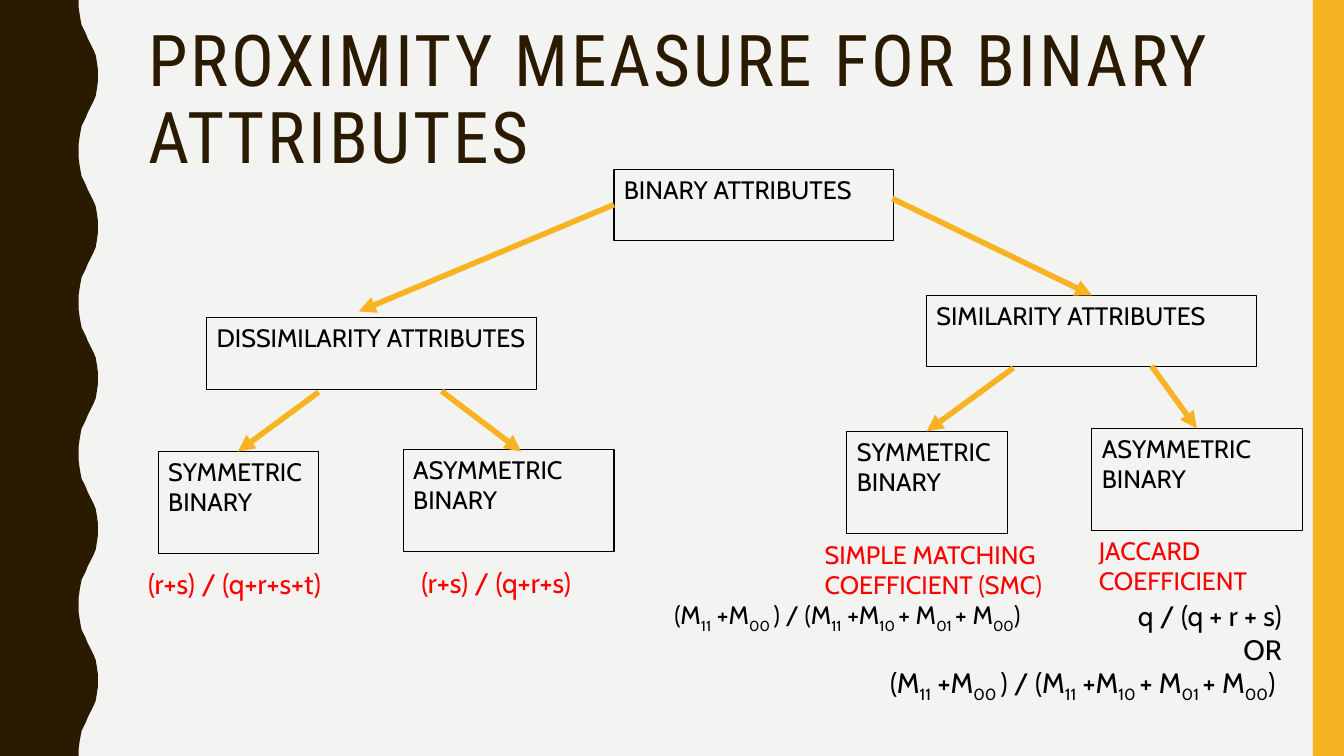
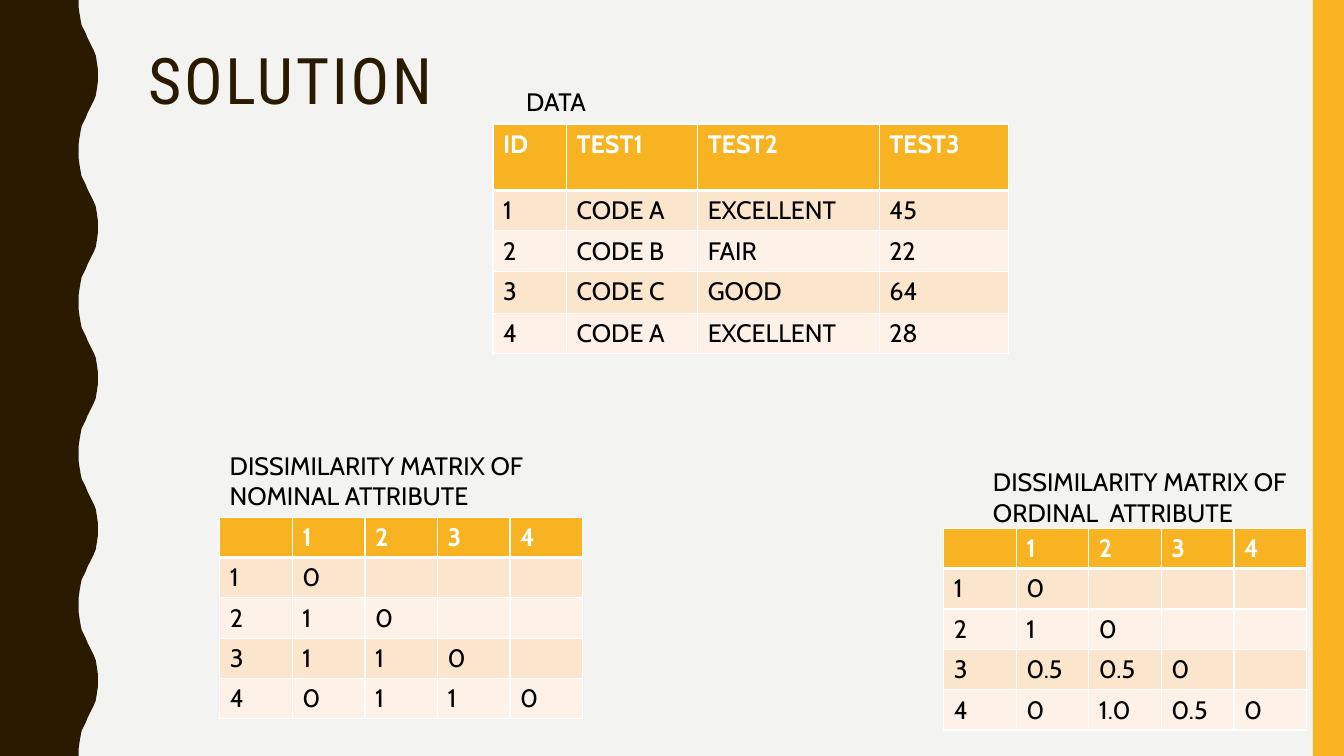
from lxml.etree import SubElement
from pptx import Presentation
from pptx.dml.color import RGBColor
from pptx.enum.shapes import MSO_CONNECTOR, MSO_SHAPE
from pptx.enum.text import MSO_ANCHOR, PP_ALIGN
from pptx.oxml.ns import qn
from pptx.util import Inches, Pt

HUES = {
    "paper": "F3F3F2",
    "brown": "2A1A00",
    "gold": "F8B323",
    "ink": "000000",
    "red": "FF0000",
    "white": "FFFFFF",
    "peach": "FCE5CD",
    "cream": "FEF2E8",
}


def hue(name):
    return RGBColor.from_string(HUES[name])


def write(frame, text, size=18, color="ink", font="Cabin", bold=False,
          align=PP_ALIGN.LEFT, anchor=MSO_ANCHOR.TOP, lead=None, track=None):
    frame.word_wrap = True
    frame.vertical_anchor = anchor
    for row, line in enumerate(text.split("\n")):
        para = frame.add_paragraph() if row else frame.paragraphs[0]
        para.alignment = align
        if lead:
            para.line_spacing = lead
        for part, piece in enumerate(line.split("_")):
            if not piece:
                continue
            run = para.add_run()
            run.text = piece
            run.font.size = Pt(size)
            run.font.name = font
            run.font.bold = bold
            run.font.color.rgb = hue(color)
            props = run.font._element
            if part % 2:
                props.set("baseline", "-25000")
            if track:
                props.set("spc", str(track * 100))


deck = Presentation()
deck.slide_width = Inches(13.33)
deck.slide_height = Inches(7.5)
back = deck.slide_master.background.fill
back.solid()
back.fore_color.rgb = hue("paper")

half = [(0.78, 0), (0.78, 0.07), (0.79, 0.14), (0.8, 0.2), (0.81, 0.25),
        (0.83, 0.29), (0.85, 0.33), (0.87, 0.38), (0.89, 0.42), (0.91, 0.46),
        (0.93, 0.5), (0.95, 0.55), (0.96, 0.61), (0.97, 0.68), (0.97, 0.75)]
bend = half + [(x, 1.5 - y) for x, y in half[-2:0:-1]]
edge = [(x, y + 1.5 * turn) for turn in range(5) for x, y in bend]
edge += [(0.78, 7.5), (0, 7.5)]

titles = [
    ("PROXIMITY MEASURE FOR BINARY ATTRIBUTES", 0.2, 1.63, 51),
    ("SOLUTION", 0.42, 0.82, 45.9),
]
slides = []
for text, top, high, size in titles:
    slide = deck.slides.add_slide(deck.slide_layouts[6])
    slides.append(slide)
    path = slide.shapes.build_freeform(0, 0)
    path.add_line_segments([(Inches(x), Inches(y)) for x, y in edge])
    wave = path.convert_to_shape()
    band = slide.shapes.add_shape(
        MSO_SHAPE.RECTANGLE, Inches(13.02), 0, Inches(0.31), Inches(7.5))
    for shape, color in [(wave, "brown"), (band, "gold")]:
        shape.shadow.inherit = False
        shape.fill.solid()
        shape.fill.fore_color.rgb = hue(color)
        shape.line.fill.background()
    title = slide.shapes.add_textbox(
        Inches(1.37), Inches(top), Inches(11.13), Inches(high))
    write(title.text_frame, text, size=size, color="brown",
          font="Roboto Condensed", anchor=MSO_ANCHOR.MIDDLE, lead=0.9, track=2)

tree, answer = slides

boxes = [
    ("BINARY ATTRIBUTES", 6.09, 1.68, 2.77, 0.71),
    ("DISSIMILARITY ATTRIBUTES", 2.05, 3.15, 3.27, 0.71),
    ("SIMILARITY ATTRIBUTES", 9.19, 2.93, 3.27, 0.71),
    ("SYMMETRIC BINARY", 1.57, 4.48, 1.59, 1.01),
    ("ASYMMETRIC BINARY", 4, 4.46, 2.09, 1.01),
    ("SYMMETRIC BINARY", 8.4, 4.28, 1.59, 1.01),
    ("ASYMMETRIC BINARY", 10.83, 4.25, 2.09, 1.01),
]
for text, *place in boxes:
    box = tree.shapes.add_shape(MSO_SHAPE.RECTANGLE, *map(Inches, place))
    box.shadow.inherit = False
    box.fill.background()
    box.line.color.rgb = hue("ink")
    box.line.width = Pt(0.75)
    write(box.text_frame, text)

arrows = [
    (6.09, 2.03, 3.56, 3.09),
    (8.85, 1.97, 10.83, 2.93),
    (3.16, 3.89, 2.36, 4.48),
    (4.38, 3.88, 5.17, 4.48),
    (11.42, 3.63, 11.87, 4.25),
    (10.05, 3.65, 9.19, 4.28),
]
for ends in arrows:
    arrow = tree.shapes.add_connector(MSO_CONNECTOR.STRAIGHT, *map(Inches, ends))
    arrow.line.color.rgb = hue("gold")
    arrow.line.width = Pt(4)
    props = arrow._element.spPr
    SubElement(props.find(qn("a:ln")), qn("a:tailEnd"), type="triangle")
    SubElement(props, qn("a:effectLst"))

ratio = "(M_11_ +M_00 _) / (M_11_ +M_10 _+ M_01 _+ M_00_)"
red = {"color": "red"}
large = {"color": "red", "size": 20}
right = {"size": 20, "align": PP_ALIGN.RIGHT}
notes = [
    (tree, "SIMPLE MATCHING COEFFICIENT (SMC)", 8.08, 5.3, 2.49, 0.71, red),
    (tree, "JACCARD COEFFICIENT", 10.8, 5.26, 2.04, 0.71, red),
    (tree, "(r+s) / (q+r+s+t)", 1.37, 5.57, 2.19, 0.44, large),
    (tree, "(r+s) / (q+r+s)", 4.08, 5.56, 2.19, 0.44, large),
    (tree, f"q / (q + r + s)\nOR\n{ratio} ", 8.42, 5.89, 4.39, 1.45, right),
    (tree, ratio, 6.59, 5.9, 4.13, 0.4, {}),
    (answer, "DISSIMILARITY MATRIX OF NOMINAL ATTRIBUTE", 2.18, 4.42, 3.58, 0.71, {}),
    (answer, "DISSIMILARITY MATRIX OF ORDINAL  ATTRIBUTE", 9.75, 4.58, 3.58, 0.71, {}),
    (answer, "DATA", 5.12, 0.81, 0.83, 0.4, {}),
]
for slide, text, *place, style in notes:
    note = slide.shapes.add_textbox(*map(Inches, place))
    write(note.text_frame, text, **style)

head = ["", "1", "2", "3", "4"]
nominal = [
    head,
    ["1", "0", "", "", ""],
    ["2", "1", "0", "", ""],
    ["3", "1", "1", "0", ""],
    ["4", "0", "1", "1", "0"],
]
ordinal = [
    head,
    ["1", "0", "", "", ""],
    ["2", "1", "0", "", ""],
    ["3", "0.5", "0.5", "0", ""],
    ["4", "0", "1.0", "0.5", "0"],
]
data = [
    ["ID", "TEST1", "TEST2", "TEST3"],
    ["1", "CODE A", "EXCELLENT", "45"],
    ["2", "CODE B", "FAIR", "22"],
    ["3", "CODE C", "GOOD", "64"],
    ["4", "CODE A", "EXCELLENT", "28"],
]
even = [0.4] * 5
tables = [
    (nominal, 2.18, 5.13, [0.72] * 5, even),
    (ordinal, 9.36, 5.24, [0.72] * 5, even),
    (data, 4.89, 1.23, [0.73, 1.3, 1.8, 1.28], [0.66, 0.4, 0.4, 0.42, 0.4]),
]
for rows, left, top, wides, highs in tables:
    place = left, top, sum(wides), sum(highs)
    table = answer.shapes.add_table(
        len(rows), len(wides), *map(Inches, place)).table
    table.horz_banding = False
    for col, wide in zip(table.columns, wides):
        col.width = Inches(wide)
    for row, high in zip(table.rows, highs):
        row.height = Inches(high)
    for r, row in enumerate(rows):
        fill = "gold" if r == 0 else "peach" if r % 2 else "cream"
        thick = {"L": 1, "R": 1, "T": 3 if r == 1 else 1, "B": 1 if r else 3}
        for c, text in enumerate(row):
            cell = table.cell(r, c)
            props = cell._tc.get_or_add_tcPr()
            for side, width in thick.items():
                line = SubElement(props, qn(f"a:ln{side}"), w=str(Pt(width)))
                paint = SubElement(line, qn("a:solidFill"))
                SubElement(paint, qn("a:srgbClr"), val=HUES["white"])
            cell.fill.solid()
            cell.fill.fore_color.rgb = hue(fill)
            write(cell.text_frame, text, bold=r == 0,
                  color="ink" if r else "white")

deck.save("out.pptx")
